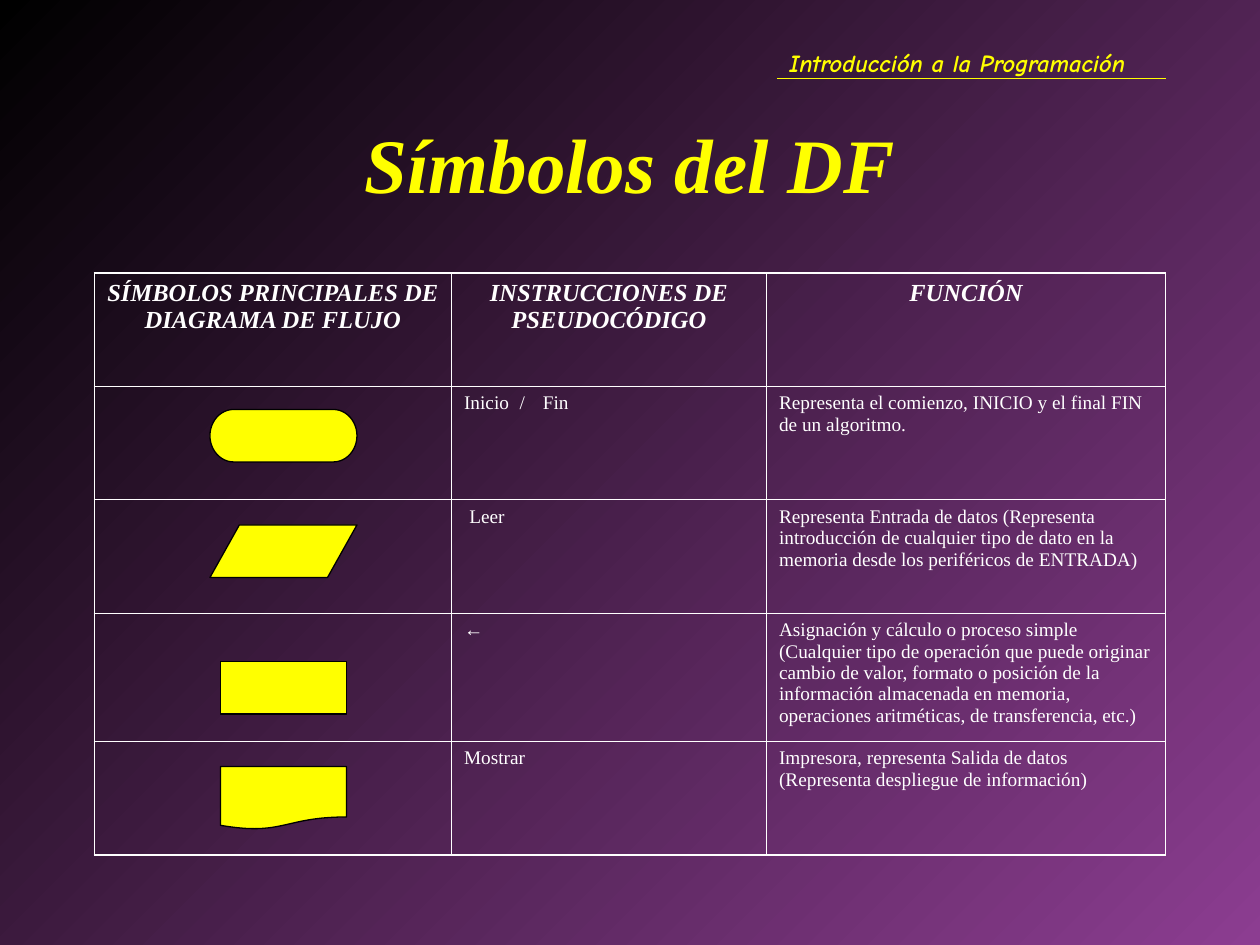
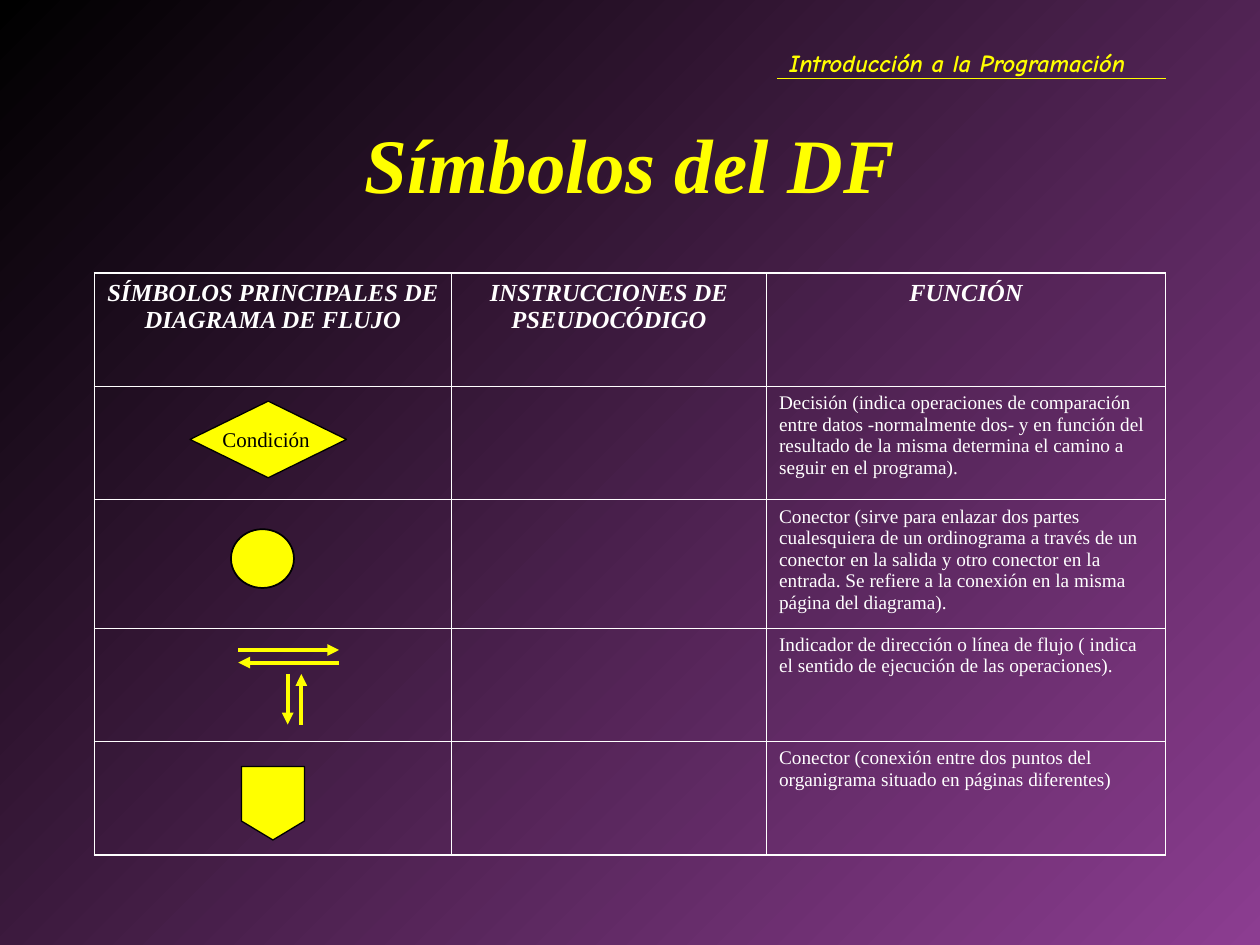
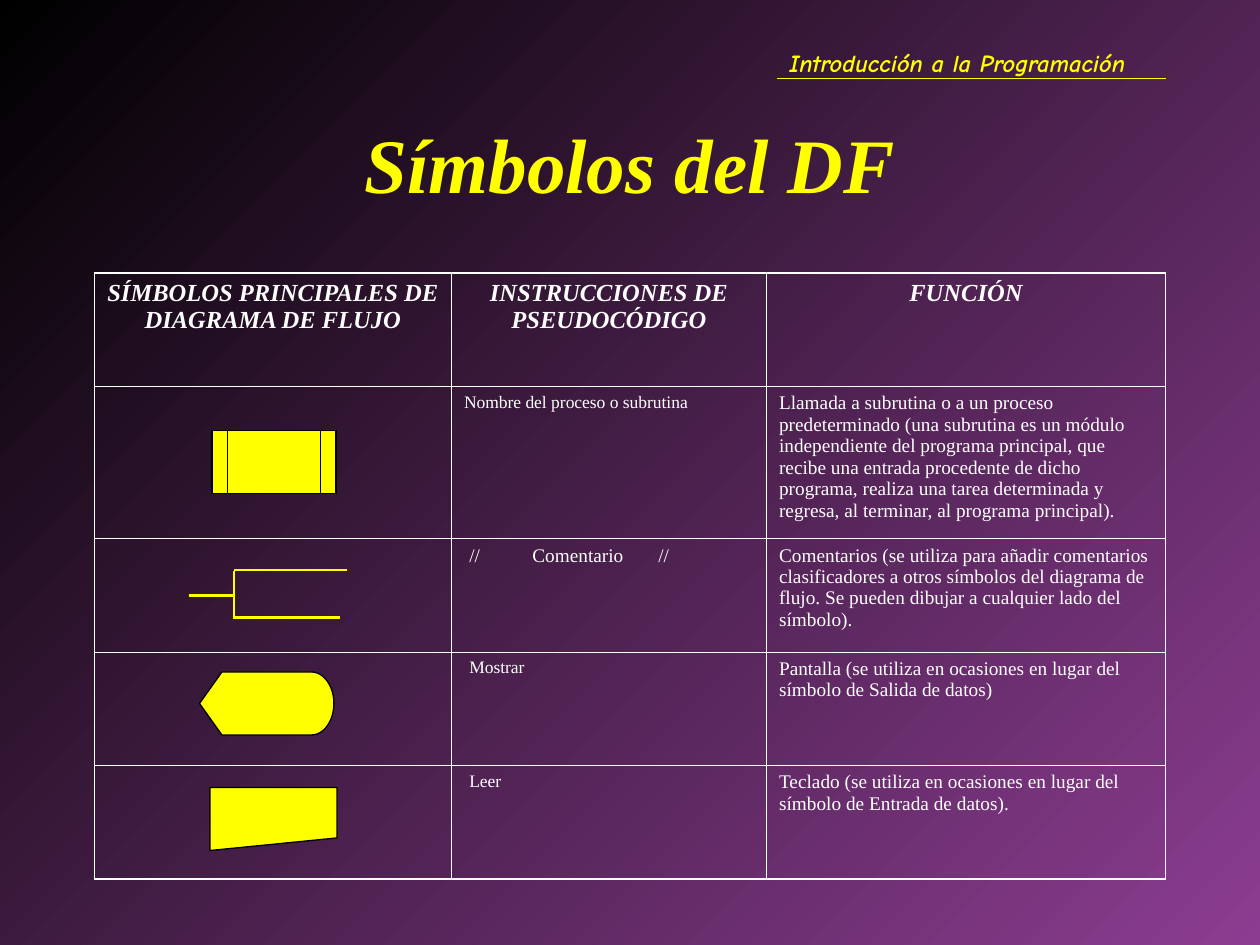
from lxml.etree import SubElement
from pptx import Presentation
from pptx.dml.color import RGBColor
from pptx.enum.shapes import MSO_CONNECTOR, MSO_SHAPE as SHAPE
from pptx.enum.text import MSO_ANCHOR as ANCHOR, PP_ALIGN as ALIGN
from pptx.oxml.ns import qn
from pptx.oxml.xmlchemy import OxmlElement
from pptx.util import Inches, Pt

COLORS = {"black": "000000", "purple": "8C3D91", "yellow": "FFFF00", "white": "FFFFFF"}
SERIF = "Times New Roman"
UNITS_PER_INCH = 12
COLUMN_WIDTHS = [34, 30, 38]
ROW_HEIGHT = 10.8
HEADINGS = [
    "SÍMBOLOS PRINCIPALES DE DIAGRAMA DE FLUJO",
    "INSTRUCCIONES DE PSEUDOCÓDIGO",
    "FUNCIÓN",
]
THIN, THICK = 0.45, 1.08


def grid(*units):
    return [Inches(unit / UNITS_PER_INCH) for unit in units]


def rgb(name):
    return RGBColor.from_string(COLORS[name])


def write(frame, text, size=11, color="white", font=SERIF, bold=False, italic=False,
          align=ALIGN.LEFT, anchor=ANCHOR.TOP, indent=0, tabs=()):
    frame.word_wrap = True
    frame.vertical_anchor = anchor
    paragraph = frame.paragraphs[0]
    properties = paragraph._p.get_or_add_pPr()
    if indent:
        properties.set("marL", str(grid(indent)[0]))
        properties.set("indent", "0")
    if tabs:
        stops = SubElement(properties, qn("a:tabLst"))
        for position in grid(*tabs):
            SubElement(stops, qn("a:tab"), pos=str(position), algn="l")
    paragraph.alignment = align
    run = paragraph.add_run()
    run.text = text
    run.font.size = Pt(size)
    run.font.name = font
    run.font.bold = bold
    run.font.italic = italic
    run.font.color.rgb = rgb(color)


def add_label(slide, box, text, **style):
    write(slide.shapes.add_textbox(*grid(*box)).text_frame, text, **style)


def add_line(slide, start, end, width, arrow=False):
    line = slide.shapes.add_connector(MSO_CONNECTOR.STRAIGHT, *grid(*start, *end))
    line.line.color.rgb = rgb("yellow")
    line.line.width = Pt(width)
    if arrow:
        SubElement(line.line._get_or_add_ln(), qn("a:tailEnd"), type="triangle")
    SubElement(line._element.spPr, qn("a:effectLst"))


def paint(symbol, width):
    symbol.shadow.inherit = False
    symbol.fill.solid()
    symbol.fill.fore_color.rgb = rgb("yellow")
    symbol.line.color.rgb = rgb("black")
    symbol.line.width = Pt(width)


def add_symbol(slide, preset, box, width=0.75, rotation=0):
    symbol = slide.shapes.add_shape(preset, *grid(*box))
    symbol.rotation = rotation
    paint(symbol, width)


def add_outline(slide, corners):
    first, *others = [grid(*corner) for corner in corners]
    builder = slide.shapes.build_freeform(*first)
    builder.add_line_segments(others, close=True)
    paint(builder.convert_to_shape(), 0.75)


def set_borders(cell, left, right, top, bottom):
    properties = cell._tc.get_or_add_tcPr()
    widths = {"a:lnL": left, "a:lnR": right, "a:lnT": top, "a:lnB": bottom}
    for position, (tag, width) in enumerate(widths.items()):
        border = OxmlElement(tag)
        border.set("w", str(Pt(width)))
        fill = SubElement(border, qn("a:solidFill"))
        SubElement(fill, qn("a:srgbClr"), val=COLORS["white"])
        properties.insert(position, border)


def add_symbol_table(slide, rows, tall_row, tall_height):
    heights = [ROW_HEIGHT] * (len(rows) + 1)
    heights[tall_row] = tall_height
    frame = slide.shapes.add_table(len(heights), len(COLUMN_WIDTHS),
                                   *grid(9, 26, sum(COLUMN_WIDTHS), sum(heights)))
    table = frame.table
    table.first_row = table.horz_banding = False
    for column, width in zip(table.columns, grid(*COLUMN_WIDTHS)):
        column.width = width
    for row, height in zip(table.rows, grid(*heights)):
        row.height = height

    last_row, last_column = len(heights) - 1, len(COLUMN_WIDTHS) - 1
    for r, row in enumerate(table.rows):
        for c, cell in enumerate(row.cells):
            cell.fill.background()
            set_borders(cell,
                        left=THICK if c == 0 else THIN,
                        right=THICK if c == last_column else THIN,
                        top=THICK if r == 0 else THIN,
                        bottom=THICK if r == last_row else THIN)
    for c, heading in enumerate(HEADINGS):
        write(table.cell(0, c).text_frame, heading, size=14, bold=True, italic=True,
              align=ALIGN.CENTER)
    for r, (instruction, style, function) in enumerate(rows, start=1):
        if instruction:
            write(table.cell(r, 1).text_frame, instruction, **style)
        write(table.cell(r, 2).text_frame, function)


def add_symbols_slide(prs, rows, tall_row, tall_height):
    slide = prs.slides.add_slide(prs.slide_layouts[5])
    add_label(slide, (74, 4, 39, 4), "Introducción a la Programación", size=14,
              color="yellow", font="Comic Neue", bold=True, italic=True)
    add_line(slide, (74, 7.5), (111, 7.5), 0.75)
    title = slide.shapes.title
    title.left, title.top, title.width, title.height = grid(9, 8, 102, 15)
    write(title.text_frame, "Símbolos del DF", size=44, color="yellow", bold=True,
          italic=True, align=ALIGN.CENTER, anchor=ANCHOR.MIDDLE)
    add_symbol_table(slide, rows, tall_row, tall_height)
    return slide


def add_basic_symbols(prs):
    slide = add_symbols_slide(prs, [
        ("Inicio\t/\tFin", {"tabs": (5.3, 7.5)},
         "Representa el comienzo, INICIO y el final FIN de un algoritmo."),
        ("Leer", {"indent": 0.5},
         "Representa Entrada de datos (Representa introducción de cualquier tipo de dato "
         "en la memoria desde los periféricos de ENTRADA)"),
        ("←", {"font": "Arial"},
         "Asignación y cálculo o proceso simple (Cualquier tipo de operación que puede "
         "originar cambio de valor, formato o posición de la información almacenada en "
         "memoria, operaciones aritméticas, de transferencia, etc.)"),
        ("Mostrar", {},
         "Impresora, representa Salida de datos (Representa despliegue de información)"),
    ], tall_row=3, tall_height=12.2)
    add_symbol(slide, SHAPE.FLOWCHART_TERMINATOR, (20, 39, 14, 5))
    add_symbol(slide, SHAPE.FLOWCHART_DATA, (20, 50, 14, 5))
    add_symbol(slide, SHAPE.RECTANGLE, (21, 63, 12, 5), width=1)
    add_symbol(slide, SHAPE.FLOWCHART_DOCUMENT, (21, 73, 12, 6))


def add_flow_symbols(prs):
    slide = add_symbols_slide(prs, [
        ("", {},
         "Decisión (indica operaciones de comparación entre datos -normalmente dos- y en "
         "función del resultado de la misma determina el camino a seguir en el programa)."),
        ("", {},
         "Conector (sirve para enlazar dos partes cualesquiera de un ordinograma a través "
         "de un conector en la salida y otro conector en la entrada. Se refiere a la "
         "conexión en la misma página del diagrama)."),
        ("", {},
         "Indicador de dirección o línea de flujo ( indica el sentido de ejecución de las "
         "operaciones)."),
        ("", {},
         "Conector (conexión entre dos puntos del organigrama situado en páginas "
         "diferentes)"),
    ], tall_row=2, tall_height=12.2)
    add_symbol(slide, SHAPE.FLOWCHART_DECISION, (18.1, 38.2, 14.9, 7.3))
    add_label(slide, (20, 40, 11, 4), "Condición", size=12, color="black")
    add_symbol(slide, SHAPE.OVAL, (22, 50.4, 6, 5.6), width=1)
    flow_arrows = [
        ((22.7, 61.9), (32.3, 61.9)),
        ((32.3, 63.1), (22.7, 63.1)),
        ((27.4, 64.2), (27.4, 69)),
        ((28.7, 69), (28.7, 64.2)),
    ]
    for start, end in flow_arrows:
        add_line(slide, start, end, 2.25, arrow=True)
    add_outline(slide, [(29, 73), (29, 78.2), (26, 80), (23, 78.2), (23, 73)])


def add_extra_symbols(prs):
    slide = add_symbols_slide(prs, [
        ("Nombre del proceso o subrutina", {"size": 10},
         "Llamada a subrutina o a un proceso predeterminado (una subrutina es un módulo "
         "independiente del programa principal, que recibe una entrada procedente de dicho "
         "programa, realiza una tarea determinada y regresa, al terminar, al programa "
         "principal)."),
        ("//\tComentario\t//", {"indent": 0.5, "tabs": (2.4, 12.5)},
         "Comentarios (se utiliza para añadir comentarios clasificadores a otros símbolos "
         "del diagrama de flujo. Se pueden dibujar a cualquier lado del símbolo)."),
        ("Mostrar", {"size": 10, "indent": 0.5},
         "Pantalla (se utiliza en ocasiones en lugar del símbolo de Salida de datos)"),
        ("Leer", {"size": 10, "indent": 0.5},
         "Teclado (se utiliza en ocasiones en lugar del símbolo de Entrada de datos)."),
    ], tall_row=1, tall_height=14.5)
    add_symbol(slide, SHAPE.FLOWCHART_PREDEFINED_PROCESS, (20.2, 41, 11.8, 6))
    comment_bracket = [
        ((22.3, 54.4), (22.3, 59)),
        ((22.3, 54.3), (33, 54.3)),
        ((22.3, 58.8), (32.4, 58.8)),
        ((22.3, 56.7), (18, 56.7)),
    ]
    for start, end in comment_bracket:
        add_line(slide, start, end, 1.5)
    add_symbol(slide, SHAPE.FLOWCHART_DISPLAY, (19, 64, 12.8, 6))
    add_symbol(slide, SHAPE.FLOWCHART_MANUAL_INPUT, (20, 75, 12.1, 6), rotation=180)


def set_background(prs):
    fill = prs.slide_master.background.fill
    fill.gradient()
    fill.gradient_angle = 315
    for stop, position, color in zip(fill.gradient_stops, (0, 1), ("black", "purple")):
        stop.position = position
        stop.color.rgb = rgb(color)


def main():
    prs = Presentation()
    prs.slide_width, prs.slide_height = grid(120, 90)
    set_background(prs)
    add_basic_symbols(prs)
    add_flow_symbols(prs)
    add_extra_symbols(prs)
    prs.save("out.pptx")


if __name__ == "__main__":
    main()
